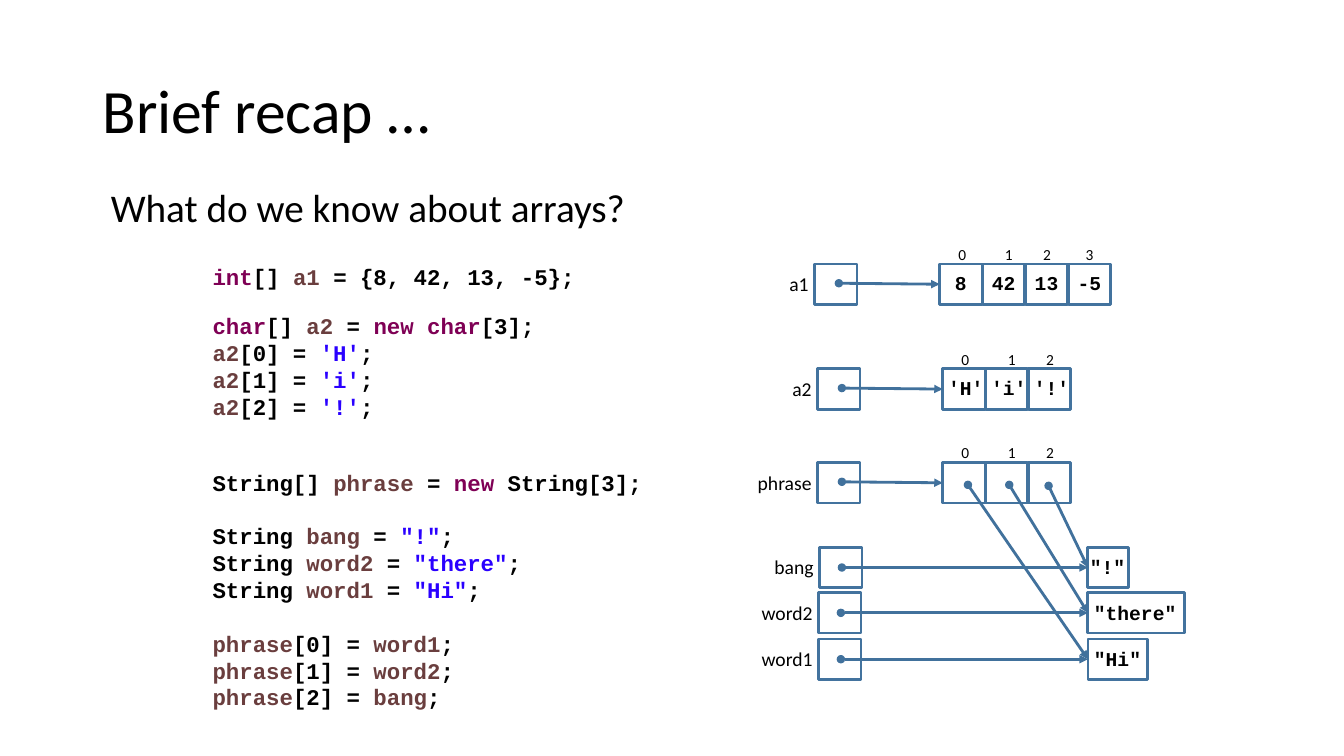
from dataclasses import dataclass

from lxml import etree
from pptx import Presentation
from pptx import util as u
from pptx.dml.color import RGBColor
from pptx.enum import shapes, text
from pptx.oxml import ns


@dataclass(frozen=True)
class Theme:
    body: str = "Calibri"
    mono: str = "Courier New"
    ink: str = "000000"
    keyword: str = "7F0055"
    variable: str = "6A3E3E"
    literal: str = "2A00FF"
    frame: str = "43739E"
    arrow: str = "41719C"
    title: int = 44
    question: int = 28
    code: int = 16
    label: int = 14
    index: int = 11
    stroke: int = 2


@dataclass(frozen=True)
class ArrayRow:
    name: str
    left: float
    top: float
    size: int
    values: tuple = ()
    shift: float = 0


@dataclass(frozen=True)
class StringRow:
    name: str
    left: float
    top: float
    value: str
    width: float
    pad: float
    start: tuple
    tip: float


@dataclass(frozen=True)
class CodeBlock:
    top: float
    height: float
    groups: tuple


THEME = Theme()
CELL_W, CELL_H, PITCH = 0.42, 0.4, 0.425
ARRAY_OFFSET = 1.24
INDEX_OFFSETS = (1.38, 1.84, 2.22, 2.64)
STRING_LEFT = 10.79
CHAR_W = 0.117
LINE_PT = 19.2

KEYWORDS = {"int", "char", "new", "new char"}
VARIABLES = {"a1", "a2", "phrase", "bang", "word1", "word2"}

# Bars separate the coloured parts of a code line
CODE = (
    CodeBlock(2.56, 0.37, (("int|[] |a1| = {8, 42, 13, -5};",),)),
    CodeBlock(3.05, 1.18, ((
        "char|[] |a2| = |new char|[3];",
        "a2|[0] = |'H'|;", "a2|[1] = |'i'|;", "a2|[2] = |'!'|;"),)),
    CodeBlock(4.6, 2.52, (
        ("String[] |phrase| = |new| String[3];",),
        ('String |bang| = |"!"|;', 'String |word2| = |"there"|;',
         'String |word1| = |"Hi"|;'),
        ("phrase|[0] = |word1|;", "phrase|[1] = |word2|;",
         "phrase|[2] = |bang|;"))),
)
ARRAYS = (
    ArrayRow("a1", 8.08, 2.62, 4, ("8", "42", "13", "-5")),
    ArrayRow("a2", 8.11, 3.66, 3, ("'H'", "'i'", "'!'"), 0.02),
    ArrayRow("phrase", 8.11, 4.59, 3),
)
# start is where the arrow from the phrase array leaves its cell
STRINGS = (
    StringRow("bang", 8.13, 5.43, '"!"', 0.4, 0.02, (10.4, 4.82), 5.63),
    StringRow("word2", 8.12, 5.88, '"there"', 0.96, 0.06, (10.01, 4.81), 6.08),
    StringRow("word1", 8.12, 6.34, '"Hi"', 0.59, 0.06, (9.6, 4.81), 6.54),
)


def inch(value: float) -> u.Length:
    return u.Cm(value * 2.54)


def set_all(target, values: dict) -> None:
    for name, value in values.items():
        setattr(target, name, value)


def add_span(para, words: str, size: int, font: str, color: str, bold=False) -> None:
    span = para.add_run()
    span.text = words
    set_all(span.font, {"size": u.Pt(size), "name": font, "bold": bold})
    span.font.color.rgb = RGBColor.from_string(color)


def add_box(page, left: float, top: float, width: float, height: float, **frame):
    box = page.shapes.add_textbox(*map(inch, (left, top, width, height)))
    set_all(box.text_frame, {
        "word_wrap": True, "auto_size": text.MSO_AUTO_SIZE.SHAPE_TO_FIT_TEXT, **frame})
    return box.text_frame


def add_label(page, words: str, left: float, top: float, width: float, height: float,
              size: int, align, font=THEME.body, bold=False, wrap=True) -> None:
    frame = add_box(page, left, top, width, height, word_wrap=wrap, margin_left=0,
                    margin_right=0, margin_top=0, margin_bottom=0)
    para = frame.paragraphs[0]
    para.alignment = align
    add_span(para, words, size, font, THEME.ink, bold)


def add_value(page, words: str, left: float, top: float) -> None:
    add_label(page, words, left, top, CHAR_W * len(words), 0.24, THEME.label,
              text.PP_ALIGN.LEFT, THEME.mono, True, False)


def add_cell(page, left: float, top: float, width: float = CELL_W) -> None:
    cell = page.shapes.add_shape(
        shapes.MSO_SHAPE.RECTANGLE, *map(inch, (left, top, width, CELL_H)))
    cell.shadow.inherit = False
    cell.fill.background()
    cell.line.color.rgb = RGBColor.from_string(THEME.frame)
    cell.line.width = u.Pt(THEME.stroke)


def add_arrow(page, start: tuple, end: tuple) -> None:
    arrow = page.shapes.add_connector(
        shapes.MSO_CONNECTOR.STRAIGHT, *map(inch, (*start, *end)))
    arrow.line.color.rgb = RGBColor.from_string(THEME.arrow)
    arrow.line.width = u.Pt(THEME.stroke)
    outline = arrow.line._get_or_add_ln()
    for tag, kind in (("a:headEnd", "oval"), ("a:tailEnd", "triangle")):
        etree.SubElement(outline, ns.qn(tag), type=kind)
    etree.SubElement(arrow._element.spPr, ns.qn("a:effectLst"))


def add_variable(page, row) -> None:
    add_cell(page, row.left, row.top)
    add_label(page, row.name, row.left - 0.94, row.top + 0.08, 0.88, 0.24,
              THEME.label, text.PP_ALIGN.RIGHT)


def add_array(page, row: ArrayRow) -> None:
    add_variable(page, row)
    first = row.left + ARRAY_OFFSET
    for index in range(row.size):
        add_cell(page, first + index * PITCH, row.top)
        add_label(page, str(index), row.left + INDEX_OFFSETS[index], row.top - 0.19,
                  0.17, 0.19, THEME.index, text.PP_ALIGN.CENTER)
    for index, value in enumerate(row.values):
        middle = first + index * PITCH + CELL_W / 2 + row.shift
        add_value(page, value, middle - CHAR_W * len(value) / 2, row.top + 0.07)
    add_arrow(page, (row.left + 0.24, row.top + 0.19), (first, row.top + 0.2))


def add_string(page, row: StringRow) -> None:
    add_variable(page, row)
    add_cell(page, STRING_LEFT, row.top, row.width)
    add_value(page, row.value, STRING_LEFT + row.pad, row.top + 0.08)
    tip = (STRING_LEFT, row.tip)
    add_arrow(page, (row.left + 0.22, row.top + 0.2), tip)
    add_arrow(page, row.start, tip)


def code_color(part: str) -> str:
    if part in KEYWORDS:
        return THEME.keyword
    if part in VARIABLES:
        return THEME.variable
    return THEME.literal if part[0] in "'\"" else THEME.ink


def add_code(page, block: CodeBlock) -> None:
    frame = add_box(page, 2.01, block.top, 4.78, block.height)
    para = None
    for group in block.groups:
        for number, line in enumerate(group):
            gap = LINE_PT if para is not None and number == 0 else 0
            para = frame.paragraphs[0] if para is None else frame.add_paragraph()
            set_all(para, {"line_spacing": u.Pt(LINE_PT), "space_before": u.Pt(gap)})
            for part in line.split("|"):
                add_span(para, part, THEME.code, THEME.mono, code_color(part), True)


def main() -> None:
    deck = Presentation()
    set_all(deck, {"slide_width": inch(13.33), "slide_height": inch(7.5)})
    page = deck.slides.add_slide(deck.slide_layouts[6])

    # Title and question
    title = add_box(page, 0.92, 0.4, 11.5, 1.45, auto_size=text.MSO_AUTO_SIZE.NONE,
                    vertical_anchor=text.MSO_ANCHOR.MIDDLE).paragraphs[0]
    title.line_spacing = 0.9
    add_span(title, "Brief recap …", THEME.title, THEME.body, THEME.ink)
    question = add_box(page, 1, 1.77, 11.59, 0.57).paragraphs[0]
    add_span(question, "What do we know about arrays?", THEME.question,
             THEME.body, THEME.ink)

    # Code on the left, memory diagram on the right
    for draw, items in ((add_code, CODE), (add_array, ARRAYS), (add_string, STRINGS)):
        for item in items:
            draw(page, item)

    deck.save("out.pptx")


if __name__ == "__main__":
    main()
